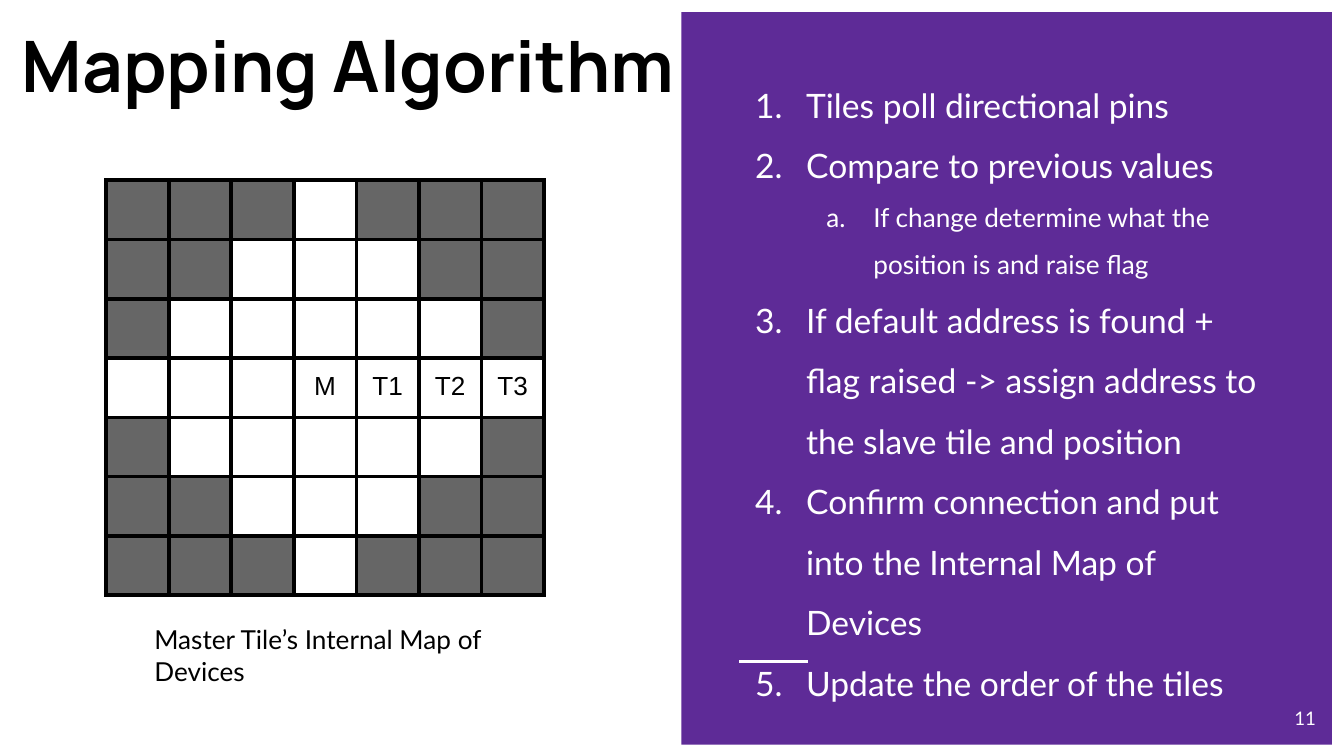
"""Build the Mapping Algorithm slide: a diamond map of tiles beside numbered steps."""
from dataclasses import dataclass

from lxml.etree import SubElement
from pptx import Presentation
from pptx.dml.color import RGBColor
from pptx.enum.shapes import MSO_CONNECTOR as Link, MSO_SHAPE as Preset
from pptx.enum.text import MSO_ANCHOR as Anchor, MSO_AUTO_SIZE as Fit, PP_ALIGN as Align
from pptx.oxml.ns import qn
from pptx.util import Inches, Pt


@dataclass(frozen=True)
class Theme:
    purple: str = "5E2B97"
    white: str = "FFFFFF"
    black: str = "000000"
    gray: str = "666666"
    heading: str = "Manrope"
    text: str = "Lato"
    label: str = "Arial"
    title_size: int = 38
    step_size: int = 18
    small_size: int = 14
    number_size: int = 10


THEME = Theme()
WIDTH = 10
HEIGHT = WIDTH * 9 / 16

TITLE = "Mapping Algorithm"
STEPS = [
    (0, "Tiles poll directional pins"),
    (0, "Compare to previous values"),
    (1, "If change determine what the position is and raise flag"),
    (0, "If default address is found + flag raised -> assign address to the slave tile and position"),
    (0, "Confirm connection and put into the Internal Map of Devices"),
    (0, "Update the order of the tiles"),
]
LEVELS = [
    {"indent": 0.5, "hang": 0.38, "numbering": "arabicPeriod", "size": THEME.step_size},
    {"indent": 1, "hang": 0.35, "numbering": "alphaLcPeriod", "size": THEME.small_size},
]
CAPTION = "Master Tile’s Internal Map of Devices"
PAGE = "11"

REACH = 3
GRID = 2 * REACH + 1
TILES = {REACH + step: name for step, name in enumerate(["M", "T1", "T2", "T3"])}

PLACES = {
    "panel": (5.07, 0.09, 4.84, 5.45),
    "title": (0.06, 0.06, 5.23, 1.07),
    "steps": (5.4, 0.38, 4.18, 4.04),
    "page": (9.29, 5.13, 0.6, 0.43),
    "map": (0.79, 1.34, 3.26, 3.09),
    "caption": (1.05, 4.54, 3.26, 0.26),
}
RULE = (5.5, 4.92, 6.01, 4.92)


def inches(lengths):
    return [Inches(length) for length in lengths]


def assign(target, values):
    for name, value in values.items():
        setattr(target, name, value)


def set_margins(holder):
    assign(holder, dict.fromkeys(
        ("margin_left", "margin_top", "margin_right", "margin_bottom"), Inches(0.1)))


def write(paragraph, wording, size, color, font=THEME.text, bold=False, align=Align.LEFT):
    paragraph.alignment = align
    run = paragraph.add_run()
    run.text = wording
    assign(run.font, {"name": font, "size": Pt(size), "bold": bold})
    run.font.color.rgb = RGBColor.from_string(color)


def prepare(frame, anchor=Anchor.TOP):
    assign(frame, {"word_wrap": True, "auto_size": Fit.NONE, "vertical_anchor": anchor})
    set_margins(frame)
    return frame


def add_frame(slide, place, anchor=Anchor.TOP):
    return prepare(slide.shapes.add_textbox(*inches(PLACES[place])).text_frame, anchor)


def add_panel(slide):
    panel = slide.shapes.add_shape(Preset.RECTANGLE, *inches(PLACES["panel"]))
    panel.shadow.inherit = False
    panel.fill.solid()
    panel.fill.fore_color.rgb = RGBColor.from_string(THEME.purple)
    panel.line.fill.background()
    rule = slide.shapes.add_connector(Link.STRAIGHT, *inches(RULE))
    rule.line.color.rgb = RGBColor.from_string(THEME.white)
    rule.line.width = Pt(1.5)
    SubElement(rule._element.spPr, qn("a:effectLst"))


def add_title(slide):
    title = slide.shapes.title
    assign(title, dict(zip(("left", "top", "width", "height"), inches(PLACES["title"]))))
    write(prepare(title.text_frame).paragraphs[0], TITLE, THEME.title_size,
          THEME.black, THEME.heading, bold=True)


def add_steps(slide):
    frame = add_frame(slide, "steps")
    for order, (level, wording) in enumerate(STEPS):
        step = frame.add_paragraph() if order else frame.paragraphs[0]
        style = LEVELS[level]
        assign(step, {"level": level, "line_spacing": 1.5})
        properties = step._p.get_or_add_pPr()
        properties.set("marL", str(Inches(style["indent"])))
        properties.set("indent", str(-Inches(style["hang"])))
        bullet_color = SubElement(properties, qn("a:buClr"))
        SubElement(bullet_color, qn("a:srgbClr"), val=THEME.white)
        SubElement(properties, qn("a:buFont"), typeface=THEME.text)
        SubElement(properties, qn("a:buAutoNum"), type=style["numbering"])
        write(step, wording, style["size"], THEME.white)


def add_borders(cell):
    properties = cell._tc.get_or_add_tcPr()
    for side in ("lnL", "lnR", "lnT", "lnB"):
        border = SubElement(properties, qn(f"a:{side}"), w=str(Pt(2.25)))
        fill = SubElement(border, qn("a:solidFill"))
        SubElement(fill, qn("a:srgbClr"), val=THEME.black)


def add_map(slide):
    left, top, width, height = inches(PLACES["map"])
    table = slide.shapes.add_table(GRID, GRID, left, top, width, height).table
    for column in table.columns:
        column.width = width // GRID
    for row in table.rows:
        row.height = height // GRID
    for place, cell in enumerate(table.iter_cells()):
        row, column = divmod(place, GRID)
        add_borders(cell)
        if abs(row - REACH) + abs(column - REACH) > REACH:
            cell.fill.solid()
            cell.fill.fore_color.rgb = RGBColor.from_string(THEME.gray)
        else:
            cell.fill.background()
        if row == REACH and column in TILES:
            set_margins(cell)
            write(cell.text_frame.paragraphs[0], TILES[column], THEME.small_size,
                  THEME.black, THEME.label, align=Align.CENTER)


def main():
    deck = Presentation()
    deck.slide_width, deck.slide_height = inches((WIDTH, HEIGHT))
    slide = deck.slides.add_slide(deck.slide_layouts[5])
    add_panel(slide)
    add_title(slide)
    add_steps(slide)
    write(add_frame(slide, "page", Anchor.MIDDLE).paragraphs[0], PAGE,
          THEME.number_size, THEME.white, align=Align.RIGHT)
    add_map(slide)
    write(add_frame(slide, "caption").paragraphs[0], CAPTION, THEME.small_size, THEME.black)
    deck.save("out.pptx")


if __name__ == "__main__":
    main()
